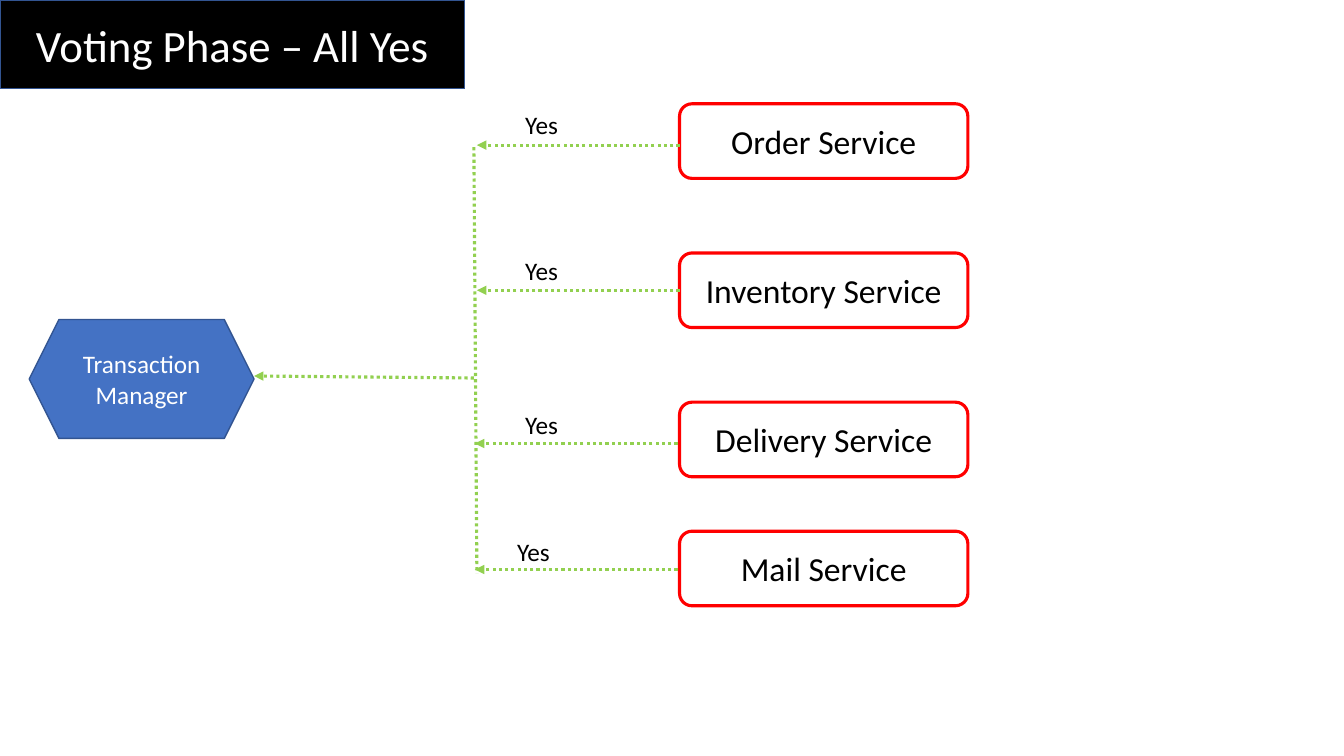
from lxml import etree
from pptx import Presentation
from pptx.dml.color import RGBColor
from pptx.enum import dml, shapes, text
from pptx.oxml.ns import qn
from pptx.util import Inches, Pt

BLACK = RGBColor(0x00, 0x00, 0x00)
WHITE = RGBColor(0xFF, 0xFF, 0xFF)
BLUE = RGBColor(0x44, 0x72, 0xC4)
NAVY = RGBColor(0x32, 0x54, 0x91)
RED = RGBColor(0xFF, 0x00, 0x00)
GREEN = RGBColor(0x92, 0xD0, 0x50)

# service name, box top, label left, label top, arrow start x, arrow y
VOTES = [
    ("Order Service", 1.03, 5.11, 1.04, 6.74, 1.44),
    ("Inventory Service", 2.51, 5.11, 2.48, 6.74, 2.88),
    ("Delivery Service", 3.99, 5.11, 4.01, 6.72, 4.4),
    ("Mail Service", 5.27, 5.03, 5.27, 6.72, 5.65),
]
ARROW_LENGTH = 2.01


def add_run(p, words, size, color):
    r = p.add_run()
    r.text = words
    r.font.name = "Calibri"
    r.font.size = Pt(size)
    r.font.color.rgb = color


def add_box(s, kind, at, words, size, color, fill, line, width=1):
    sp = s.shapes.add_shape(kind, *map(Inches, at))
    sp.shadow.inherit = False
    sp.fill.solid()
    sp.fill.fore_color.rgb = fill
    sp.line.color.rgb = line
    sp.line.width = Pt(width)
    tf = sp.text_frame
    tf.word_wrap = True
    tf.vertical_anchor = text.MSO_ANCHOR.MIDDLE
    p = tf.paragraphs[0]
    p.alignment = text.PP_ALIGN.CENTER
    add_run(p, words, size, color)


def add_label(s, left, top, words):
    sp = s.shapes.add_textbox(Inches(left), Inches(top), Inches(0.76), Inches(0.4))
    tf = sp.text_frame
    tf.word_wrap = True
    tf.auto_size = text.MSO_AUTO_SIZE.SHAPE_TO_FIT_TEXT
    add_run(tf.paragraphs[0], words, 18, BLACK)


def add_dotted_line(s, x1, y1, x2, y2, arrow=True):
    cx = s.shapes.add_connector(shapes.MSO_CONNECTOR.STRAIGHT,
                                *map(Inches, (x1, y1, x2, y2)))
    cx.line.color.rgb = GREEN
    cx.line.width = Pt(2.25)
    cx.line.dash_style = dml.MSO_LINE.ROUND_DOT
    if arrow:
        etree.SubElement(cx.line._get_or_add_ln(), qn("a:tailEnd"), type="triangle")
    etree.SubElement(cx._element.spPr, qn("a:effectLst"))


def main():
    prs = Presentation()
    prs.slide_width, prs.slide_height = Inches(13.33), Inches(7.5)
    s = prs.slides.add_slide(prs.slide_layouts[6])
    kinds = shapes.MSO_SHAPE

    add_box(s, kinds.RECTANGLE, (0, 0, 4.61, 0.88),
            "Voting Phase – All Yes", 32, WHITE, BLACK, NAVY)
    add_box(s, kinds.HEXAGON, (0.29, 3.17, 2.23, 1.18),
            "Transaction Manager", 18, WHITE, BLUE, NAVY)
    add_dotted_line(s, 4.7, 3.75, 2.52, 3.73)
    add_dotted_line(s, 4.7, 1.46, 4.73, 5.69, arrow=False)

    for name, top, label_left, label_top, start, y in VOTES:
        add_box(s, kinds.ROUNDED_RECTANGLE, (6.74, top, 2.86, 0.74),
                name, 24, BLACK, WHITE, RED, 2.25)
        add_label(s, label_left, label_top, "Yes")
        add_dotted_line(s, start, y, start - ARROW_LENGTH, y)

    prs.save("out.pptx")


if __name__ == "__main__":
    main()
